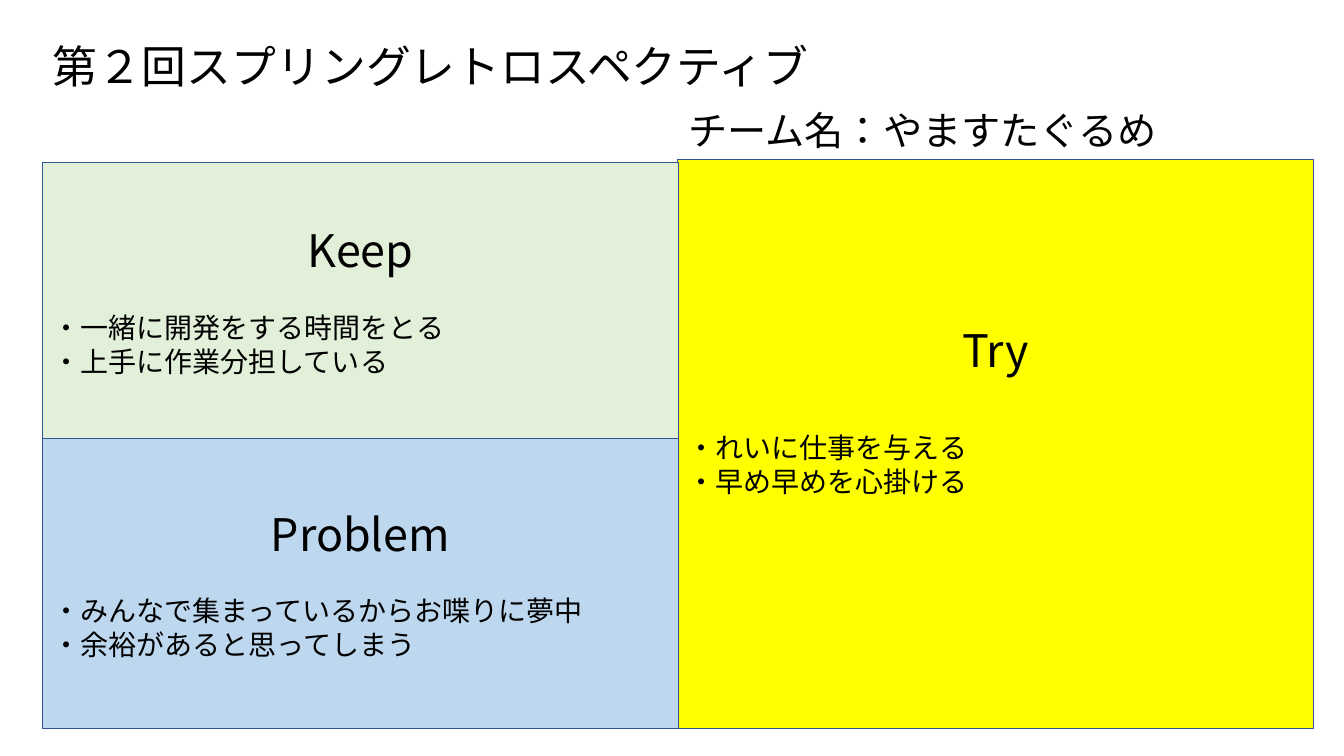
from dataclasses import dataclass

import pptx
import pptx.dml.color
import pptx.enum.lang
import pptx.enum.shapes
import pptx.enum.text
import pptx.oxml
import pptx.oxml.ns
import pptx.util
from pptx.util import Inches

FONT = "Noto Sans CJK JP"
COLOURS = {
    "text": "000000",
    "border": "325491",
    "keep": "E2F0D9",
    "problem": "BDD7EE",
    "try": "FFFF00",
}
HEADING_SIZE, TEAM_SIZE, ITEM_SIZE = 32, 28, 20
COLUMN_WIDTH = 6.31


@dataclass(frozen=True)
class Panel:
    heading: str
    items: tuple[str, ...]
    colour: str
    left: float
    top: float
    height: float
    heading_gap: float = 24
    bottom_inset: float = 0.05


@dataclass(frozen=True)
class Caption:
    text: str
    size: float
    left: float
    top: float
    width: float
    height: float
    anchor: pptx.enum.text.MSO_ANCHOR
    line_spacing: float = 1.0


PANELS = (
    Panel("Try", ("れいに仕事を与える", "早め早めを心掛ける"),
          "try", 6.72, 1.58, 5.65, heading_gap=38.4, bottom_inset=0.72),
    Panel("Keep", ("一緒に開発をする時間をとる", "上手に作業分担している"),
          "keep", 0.42, 1.61, 2.74),
    Panel("Problem", ("みんなで集まっているからお喋りに夢中", "余裕があると思ってしまう"),
          "problem", 0.42, 4.35, 2.88),
)
CAPTIONS = (
    Caption("第２回スプリングレトロスペクティブ", HEADING_SIZE, 0.42, 0.27, 12.48, 0.82,
            pptx.enum.text.MSO_ANCHOR.MIDDLE, 0.9),
    Caption("チーム名：やますたぐるめ", TEAM_SIZE, 6.73, 1.01, 6.29, 0.57,
            pptx.enum.text.MSO_ANCHOR.TOP),
)


def colour(name: str) -> pptx.dml.color.RGBColor:
    return pptx.dml.color.RGBColor.from_string(COLOURS[name])


def write(para, text: str, size: float, align=pptx.enum.text.PP_ALIGN.LEFT) -> None:
    para.text = text
    para.alignment = align
    para.font.size = pptx.util.Pt(size)
    para.font.name = FONT
    para.font.color.rgb = colour("text")
    # The language sets the shape of full-width punctuation
    for span in para.runs:
        span.font.language_id = pptx.enum.lang.MSO_LANGUAGE_ID.JAPANESE
    # East Asian characters take their typeface from a:ea
    properties = para.font._element
    east_asian = pptx.oxml.parse_xml(
        f'<a:ea {pptx.oxml.ns.nsdecls("a")} typeface="{FONT}"/>')
    properties.find(pptx.oxml.ns.qn("a:latin")).addnext(east_asian)


def draw_panel(page, panel: Panel) -> None:
    box = page.shapes.add_shape(
        pptx.enum.shapes.MSO_SHAPE.RECTANGLE, Inches(panel.left), Inches(panel.top),
        Inches(COLUMN_WIDTH), Inches(panel.height))
    box.shadow.inherit = False
    box.fill.solid()
    box.fill.fore_color.rgb = colour(panel.colour)
    box.line.color.rgb = colour("border")
    box.line.width = pptx.util.Pt(1)

    frame = box.text_frame
    frame.word_wrap = True
    frame.vertical_anchor = pptx.enum.text.MSO_ANCHOR.MIDDLE
    frame.margin_bottom = Inches(panel.bottom_inset)
    heading = frame.paragraphs[0]
    write(heading, panel.heading, HEADING_SIZE, pptx.enum.text.PP_ALIGN.CENTER)
    heading.space_after = pptx.util.Pt(panel.heading_gap)
    for item in panel.items:
        write(frame.add_paragraph(), f"・{item}", ITEM_SIZE)


def draw_caption(page, caption: Caption) -> None:
    box = page.shapes.add_textbox(
        Inches(caption.left), Inches(caption.top),
        Inches(caption.width), Inches(caption.height))
    frame = box.text_frame
    frame.word_wrap = True
    frame.vertical_anchor = caption.anchor
    para = frame.paragraphs[0]
    write(para, caption.text, caption.size)
    para.line_spacing = caption.line_spacing


def main() -> None:
    deck = pptx.Presentation()
    deck.slide_width, deck.slide_height = Inches(13.33), Inches(7.5)
    page = deck.slides.add_slide(deck.slide_layouts[6])

    # Keep, Problem and Try panels
    for panel in PANELS:
        draw_panel(page, panel)

    # Title and team name
    for caption in CAPTIONS:
        draw_caption(page, caption)

    deck.save("out.pptx")


if __name__ == "__main__":
    main()
